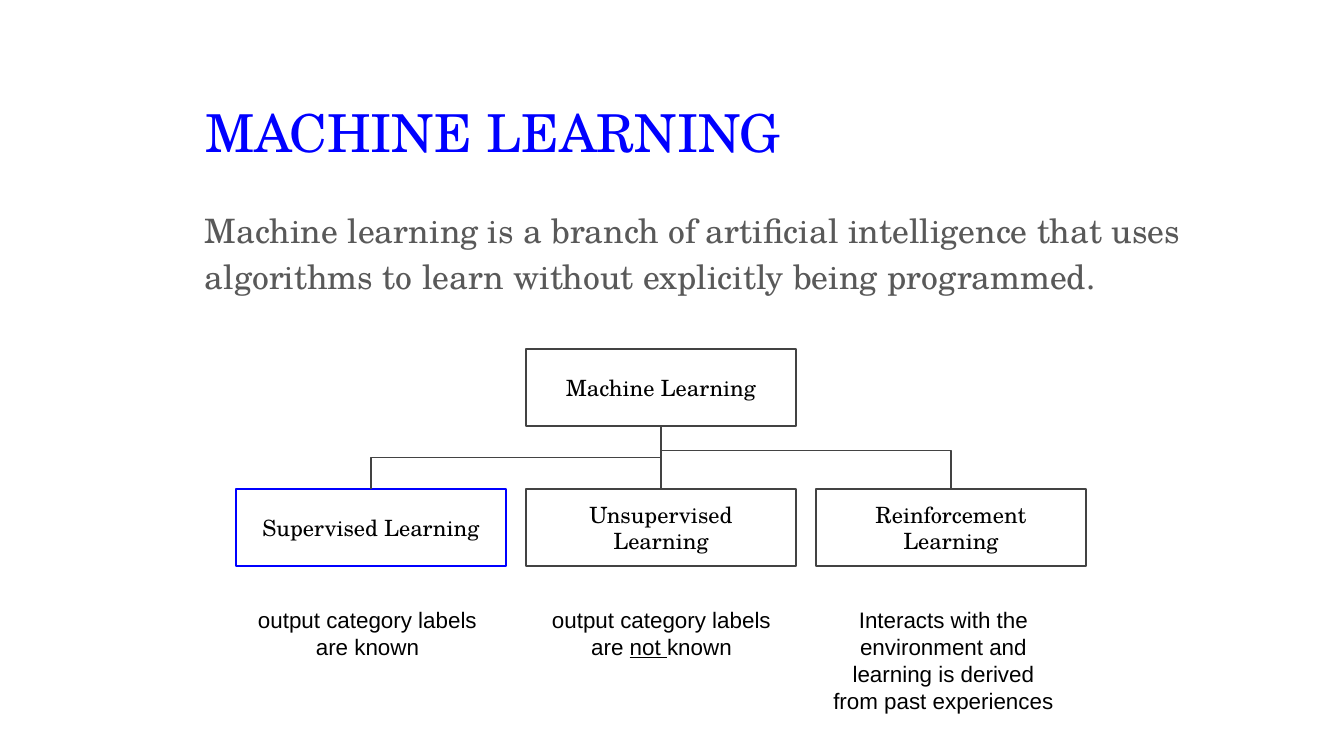
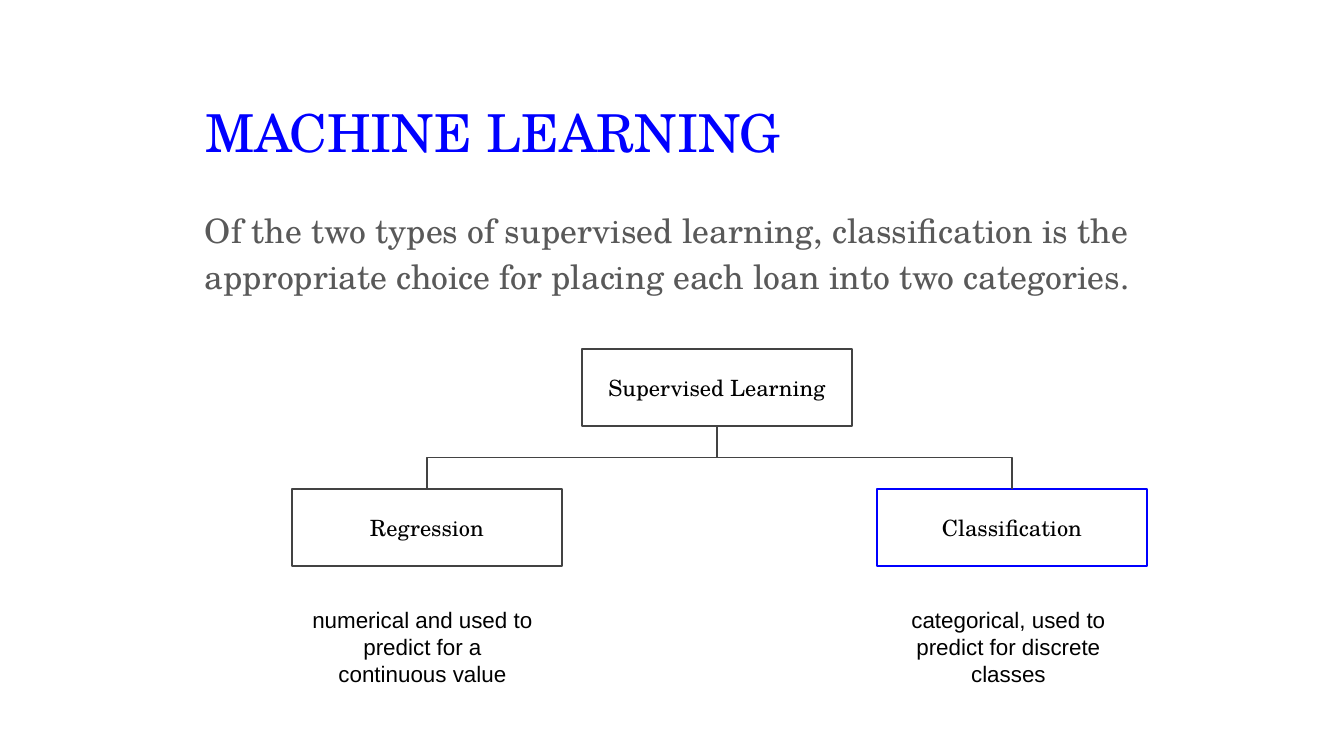
from pptx import Presentation
from pptx.dml.color import RGBColor
from pptx.enum.shapes import MSO_CONNECTOR, MSO_SHAPE
from pptx.enum.text import MSO_ANCHOR, MSO_AUTO_SIZE, PP_ALIGN
from pptx.oxml.ns import qn
from pptx.util import Pt
from lxml.etree import SubElement

# Shared scale, colours and fonts
PIXEL = 914400 / 134.4
BLUE, DARK, GREY, PALE, BLACK = "0000FF", "434343", "595959", "C2C2C2", "000000"
SERIF, SANS = "TeX Gyre Schola", "Arial"

# Shared tree geometry, in pixels
BOX_WIDTH, BOX_HEIGHT = 270, 77
PARENT_TOP, CHILD_TOP, CAPTION_TOP = 349, 489, 593
PARENT_BOTTOM = PARENT_TOP + BOX_HEIGHT
MARGIN = 13

# A caption's underlined words stand between asterisks.
# A link is (begin x, begin y, end x, end y, bend, colour); the bend is a
# fraction of the way down from begin to end.
slides = [
    {
        "body": "Machine learning is a branch of artificial intelligence that uses "
                "algorithms to learn without explicitly being programmed.",
        "boxes": [
            ("Machine Learning", 526, PARENT_TOP, DARK),
            ("Supervised Learning", 236, CHILD_TOP, BLUE),
            ("Unsupervised Learning", 526, CHILD_TOP, DARK),
            ("Reinforcement Learning", 816, CHILD_TOP, DARK),
        ],
        "links": [
            (661, PARENT_BOTTOM, 661, CHILD_TOP, 0.5, PALE),
            (661, PARENT_BOTTOM, 371, CHILD_TOP, 0.5, DARK),
            (661, CHILD_TOP, 951, CHILD_TOP + 1, -38, DARK),
        ],
        "captions": [
            ("output category labels are known", 241, 253),
            ("output category labels are *not *known", 535, 253),
            ("Interacts with the environment and learning is derived "
             "from past experiences", 817, 253),
        ],
    },
    {
        "body": "Of the two types of supervised learning, classification is the "
                "appropriate choice for placing each loan into two categories.",
        "boxes": [
            ("Supervised Learning", 582, PARENT_TOP, DARK),
            ("Regression", 292, CHILD_TOP, DARK),
            ("Classification", 877, CHILD_TOP, BLUE),
        ],
        "links": [
            (717, PARENT_BOTTOM, 427, CHILD_TOP, 0.5, DARK),
            (717, PARENT_BOTTOM, 1012, CHILD_TOP, 0.5, DARK),
        ],
        "captions": [
            ("numerical and used to predict for a continuous value", 296, 253),
            ("categorical, used to predict for discrete classes", 874, 269),
        ],
    },
]


def color(hex_string):
    return RGBColor.from_string(hex_string)


def write(shape, text, size, font_name, font_color, align, anchor=MSO_ANCHOR.TOP):
    frame = shape.text_frame
    frame.word_wrap = True
    frame.auto_size = MSO_AUTO_SIZE.NONE
    frame.vertical_anchor = anchor
    frame.margin_left = frame.margin_right = round(MARGIN * PIXEL)
    frame.margin_top = frame.margin_bottom = round(MARGIN * PIXEL)
    paragraph = frame.paragraphs[0]
    paragraph.alignment = align
    paragraph.font.size = Pt(size)
    paragraph.font.name = font_name
    paragraph.font.color.rgb = color(font_color)
    for index, part in enumerate(text.split("*")):
        run = paragraph.add_run()
        run.text = part
        if index % 2:
            run.font.underline = True
    return paragraph


presentation = Presentation()
presentation.slide_width = round(1344 * PIXEL)
presentation.slide_height = round(756 * PIXEL)

for content in slides:
    slide = presentation.slides.add_slide(presentation.slide_layouts[5])

    # Title
    title = slide.shapes.title
    title.left, title.top, title.width, title.height = (
        round(length * PIXEL) for length in (192, 87, 1034, 86))
    write(title, "MACHINE LEARNING", 28, SERIF, BLUE, PP_ALIGN.LEFT)

    # Statement
    body = slide.shapes.add_textbox(
        *(round(length * PIXEL) for length in (192, 191, 1101, 476)))
    paragraph = write(body, content["body"], 18, SERIF, GREY, PP_ALIGN.LEFT)
    paragraph.line_spacing = 1.15
    paragraph.space_after = Pt(16)

    # Tree boxes
    for label, left, top, line_color in content["boxes"]:
        box = slide.shapes.add_shape(
            MSO_SHAPE.RECTANGLE,
            *(round(length * PIXEL) for length in (left, top, BOX_WIDTH, BOX_HEIGHT)))
        box.shadow.inherit = False
        box.fill.background()
        box.line.color.rgb = color(line_color)
        box.line.width = Pt(1.5 if line_color == BLUE else 0.75)
        write(box, label, 12, SERIF, BLACK, PP_ALIGN.CENTER, MSO_ANCHOR.MIDDLE)

    # Tree links: an elbow is laid on its side, then turned a quarter
    for begin_x, begin_y, end_x, end_y, bend, line_color in content["links"]:
        straight = begin_x == end_x
        ends = (begin_x, begin_y, end_x, end_y)
        if not straight:
            middle_x, middle_y = (begin_x + end_x) / 2, (begin_y + end_y) / 2
            half_width, half_height = abs(end_x - begin_x) / 2, (end_y - begin_y) / 2
            side = 1 if end_x < begin_x else -1
            ends = (middle_x - side * half_height, middle_y - half_width,
                    middle_x + side * half_height, middle_y + half_width)
        link = slide.shapes.add_connector(
            MSO_CONNECTOR.STRAIGHT if straight else MSO_CONNECTOR.ELBOW,
            *(round(length * PIXEL) for length in ends))
        link.line.color.rgb = color(line_color)
        link.line.width = Pt(0.75)
        properties = link.element.spPr
        SubElement(properties, qn("a:effectLst"))
        if not straight:
            quarter_turns = 1 if side == 1 else 3
            properties.find(qn("a:xfrm")).set("rot", str(quarter_turns * 5400000))
            adjustments = properties.find(qn("a:prstGeom")).get_or_add_avLst()
            SubElement(adjustments, qn("a:gd"), name="adj1",
                       fmla=f"val {round(bend * 100000)}")

    # Captions
    for text, left, width in content["captions"]:
        caption = slide.shapes.add_textbox(
            *(round(length * PIXEL) for length in (left, CAPTION_TOP, width, 86)))
        write(caption, text, 12, SANS, BLACK, PP_ALIGN.CENTER)

presentation.save("out.pptx")
